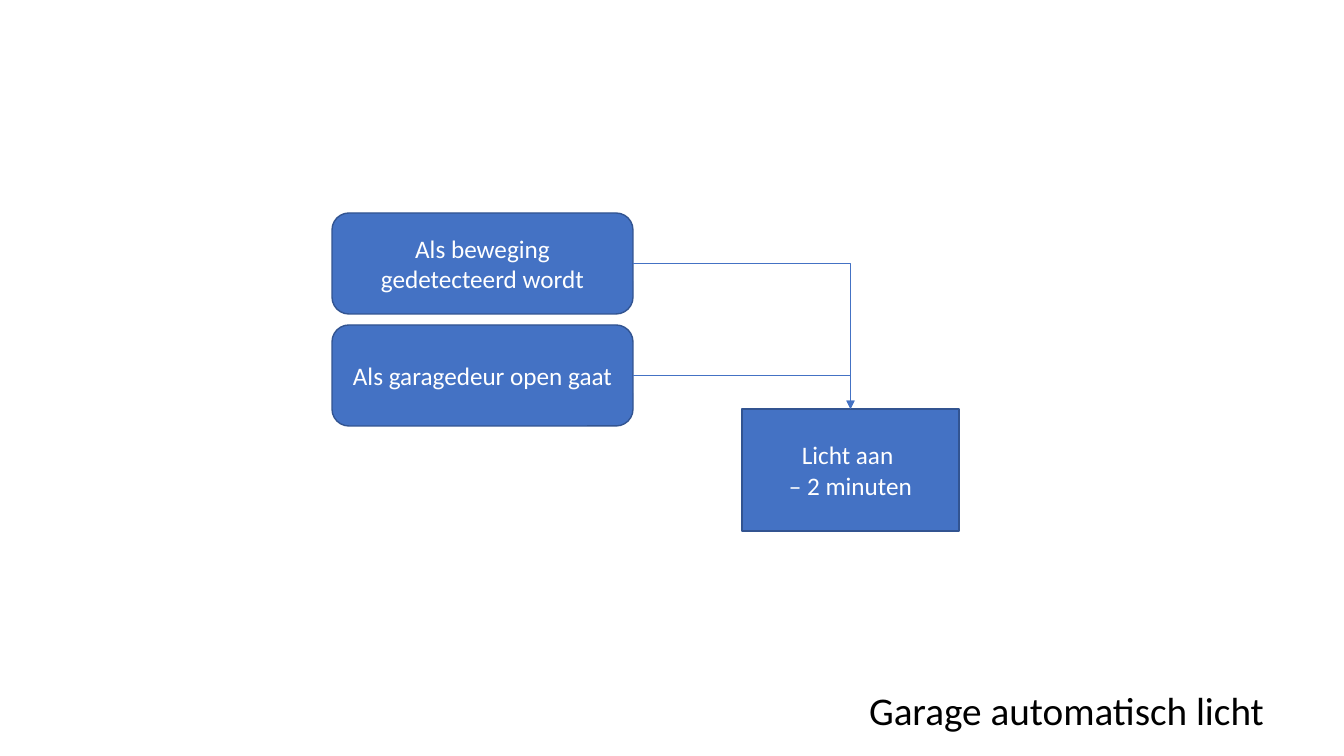
"""Build the slide that shows how the garage light switches on automatically."""
from dataclasses import dataclass

from lxml.etree import SubElement
from pptx import Presentation
from pptx.dml.color import RGBColor
from pptx.enum.shapes import MSO_CONNECTOR, MSO_SHAPE
from pptx.enum.text import MSO_ANCHOR, MSO_AUTO_SIZE, PP_ALIGN
from pptx.oxml.ns import qn
from pptx.shapes.autoshape import Shape
from pptx.slide import Slide
from pptx.text.text import TextFrame
from pptx.util import Emu, Pt

SLIDE_WIDTH, SLIDE_HEIGHT = 1344, 756
EMU_PER_PIXEL = 12192000 / SLIDE_WIDTH
RIGHT_SITE, TOP_SITE = 3, 0


@dataclass(frozen=True)
class Theme:
    """Colours, font and sizes of the slide."""
    fill: RGBColor = RGBColor(0x44, 0x72, 0xC4)
    outline: RGBColor = RGBColor(0x32, 0x54, 0x91)
    light: RGBColor = RGBColor(0xFF, 0xFF, 0xFF)
    dark: RGBColor = RGBColor(0, 0, 0)
    font: str = "Calibri"
    step_size: int = 18
    title_size: int = 28
    outline_width: float = 1
    arrow_width: float = 0.5


@dataclass(frozen=True)
class Step:
    """One box of the flow, measured in pixels."""
    label: str
    left: int
    top: int
    width: int
    height: int
    outline: MSO_SHAPE


THEME = Theme()
TRIGGER_LEFT, TRIGGER_TOP, TRIGGER_PITCH = 332, 213, 112
TRIGGERS = [
    Step(label, TRIGGER_LEFT, TRIGGER_TOP + row * TRIGGER_PITCH, 301, 101,
         MSO_SHAPE.ROUNDED_RECTANGLE)
    for row, label in enumerate(("Als beweging gedetecteerd wordt", "Als garagedeur open gaat"))
]
LIGHT_ON = Step("Licht aan \n– 2 minuten", 742, 409, 217, 122, MSO_SHAPE.RECTANGLE)


def px(pixels: int) -> Emu:
    """Turn pixels into EMU."""
    return Emu(round(pixels * EMU_PER_PIXEL))


def write(frame: TextFrame, text: str, *, size: int, color: RGBColor,
          align: PP_ALIGN, anchor: MSO_ANCHOR, wrap: bool = True) -> None:
    """Fill a text frame with one formatted paragraph."""
    frame.word_wrap = wrap
    frame.vertical_anchor = anchor
    paragraph = frame.paragraphs[0]
    paragraph.text = text
    paragraph.alignment = align
    for run in paragraph.runs:
        run.font.name = THEME.font
        run.font.size = Pt(size)
        run.font.color.rgb = color


def draw_step(slide: Slide, step: Step) -> Shape:
    """Draw one box of the flow."""
    box = slide.shapes.add_shape(step.outline, px(step.left), px(step.top),
                                 px(step.width), px(step.height))
    box.shadow.inherit = False
    box.fill.solid()
    box.fill.fore_color.rgb = THEME.fill
    box.line.color.rgb = THEME.outline
    box.line.width = Pt(THEME.outline_width)
    write(box.text_frame, step.label, size=THEME.step_size, color=THEME.light,
          align=PP_ALIGN.CENTER, anchor=MSO_ANCHOR.MIDDLE)
    return box


def draw_arrow(slide: Slide, source: Shape, target: Shape) -> None:
    """Join the right side of the source to the top of the target with one bend."""
    arrow = slide.shapes.add_connector(MSO_CONNECTOR.ELBOW, 0, 0, 0, 0)
    arrow.begin_connect(source, RIGHT_SITE)
    arrow.end_connect(target, TOP_SITE)
    arrow.line.color.rgb = THEME.fill
    arrow.line.width = Pt(THEME.arrow_width)
    properties = arrow.element.spPr
    properties.find(qn("a:prstGeom")).set("prst", "bentConnector2")
    SubElement(properties.find(qn("a:ln")), qn("a:tailEnd"), type="triangle")
    SubElement(properties, qn("a:effectLst"))


def draw_title(slide: Slide, text: str) -> None:
    """Place the title at the bottom right."""
    title = slide.shapes.title
    title.left, title.top, title.width, title.height = map(px, (859, 681, 419, 57))
    write(title.text_frame, text, size=THEME.title_size, color=THEME.dark,
          align=PP_ALIGN.LEFT, anchor=MSO_ANCHOR.TOP, wrap=False)
    title.text_frame.auto_size = MSO_AUTO_SIZE.SHAPE_TO_FIT_TEXT


def main() -> None:
    """Build and save the presentation."""
    presentation = Presentation()
    presentation.slide_width, presentation.slide_height = px(SLIDE_WIDTH), px(SLIDE_HEIGHT)
    slide = presentation.slides.add_slide(presentation.slide_layouts[5])
    draw_title(slide, "Garage automatisch licht")
    light_on = draw_step(slide, LIGHT_ON)
    for trigger in TRIGGERS:
        draw_arrow(slide, draw_step(slide, trigger), light_on)
    presentation.save("out.pptx")


main()
